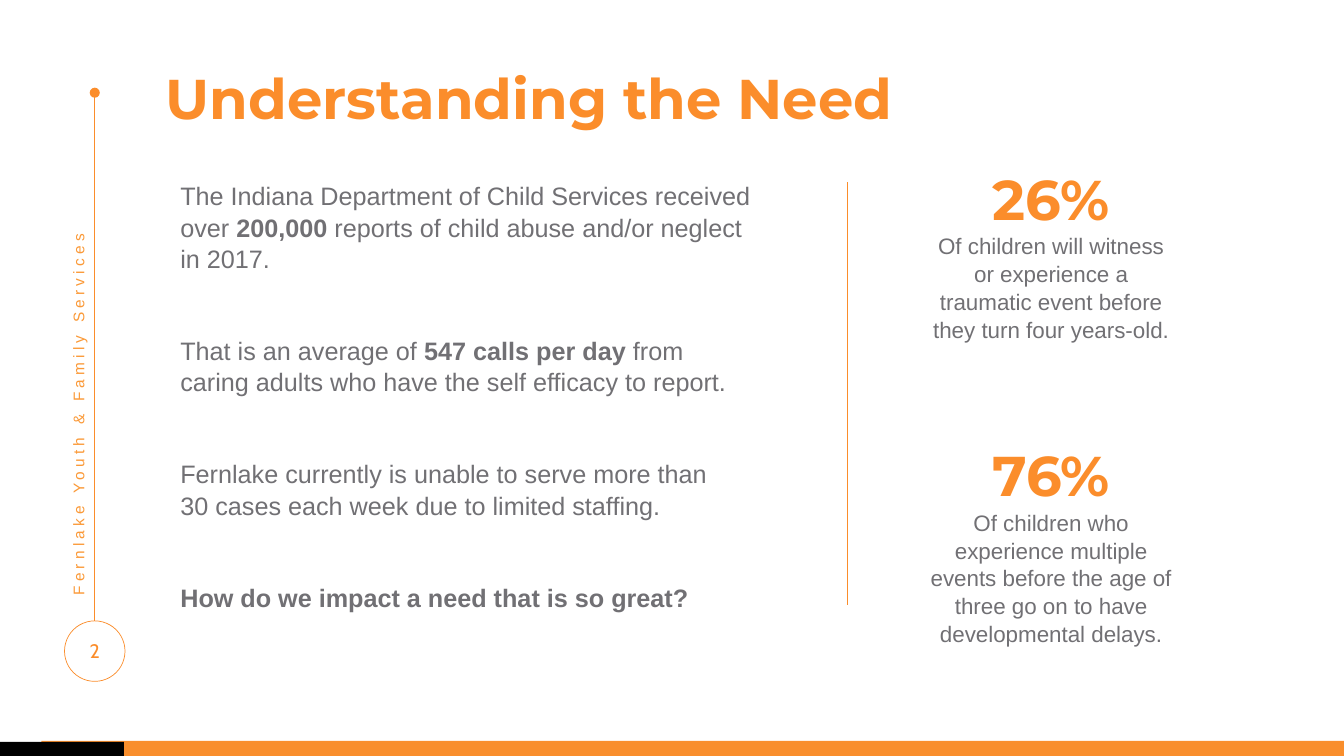
from pptx import Presentation
from pptx.dml.color import RGBColor
from pptx.enum.shapes import MSO_CONNECTOR, MSO_SHAPE
from pptx.enum.text import MSO_ANCHOR, PP_ALIGN
from pptx.oxml.ns import qn
from pptx.util import Inches, Pt

ORANGE = RGBColor(0xFB, 0x8D, 0x2B)
SIDE_ORANGE = RGBColor(0xFB, 0x99, 0x37)
BAR_ORANGE = RGBColor(0xF9, 0x8E, 0x2C)
GRAY = RGBColor(0x71, 0x70, 0x74)
BLACK = RGBColor(0, 0, 0)

TITLE = "Understanding the Need"
SIDE_LABEL = "Fernlake Youth & Family Services"
PAGE = "2"
BODY = [
    (0, [("The Indiana Department of Child Services received over ", False),
         ("200,000", True),
         (" reports of child abuse and/or neglect in 2017.", False)]),
    (43.2, [("That is an average of ", False), ("547 calls per day ", True),
            ("from caring adults who have the self efficacy to report.", False)]),
    (43.2, [("Fernlake currently is unable to serve more than", False)]),
    (0, [("30 cases each week due to limited staffing.", False)]),
    (43.2, [("How do we impact a need that is so great?", True)]),
]
STATS = [
    (1.58, 1.85, "26%", "Of children will witness or experience a traumatic event "
     "before they turn four years-old."),
    (4.32, 2.12, "76%", "Of children who experience multiple events before the age of "
     "three go on to have developmental delays."),
]

HEADING = dict(name="Montserrat", size=Pt(40), bold=True, color=ORANGE)
BODY_FONT = dict(name="Arial", size=Pt(18), color=GRAY)
STAT_FONT = dict(name="Arial", size=Pt(16), bold=False, color=GRAY)
PAGE_FONT = dict(name="Cabin", size=Pt(14), color=ORANGE)
SIDE_FONT = dict(name="Arial", size=Pt(11), color=SIDE_ORANGE)
LINE_SPACING = 1.04


def add_run(p, text, fmt):
    """Add a run and apply the font values in fmt."""
    r = p.add_run()
    r.text = text
    for key, value in fmt.items():
        if key == "color":
            r.font.color.rgb = value
        else:
            setattr(r.font, key, value)
    return r


def add_box(slide, *at):
    """Add a wrapping, top-anchored text box."""
    sp = slide.shapes.add_textbox(*map(Inches, at))
    sp.text_frame.word_wrap = True
    sp.text_frame.vertical_anchor = MSO_ANCHOR.TOP
    return sp


def add_figure(slide, kind, at, fill=None, line=None):
    """Add a preset shape with an optional fill and outline."""
    sp = slide.shapes.add_shape(kind, *map(Inches, at))
    sp.shadow.inherit = False
    if fill is None:
        sp.fill.background()
    else:
        sp.fill.solid()
        sp.fill.fore_color.rgb = fill
    if line is None:
        sp.line.fill.background()
    else:
        sp.line.color.rgb = line
        sp.line.width = Pt(0.5)
    return sp


def add_rule(slide, *ends):
    """Add a thin orange line."""
    sp = slide.shapes.add_connector(MSO_CONNECTOR.STRAIGHT, *map(Inches, ends))
    sp.line.color.rgb = ORANGE
    sp.line.width = Pt(0.5)
    sp._element.spPr.append(sp._element.makeelement(qn("a:effectLst"), {}))
    return sp


def main():
    """Build the slide and save it."""
    prs = Presentation()
    prs.slide_width, prs.slide_height = Inches(13.33), Inches(7.5)
    slide = prs.slides.add_slide(prs.slide_layouts[5])

    title = slide.shapes.title
    title.left, title.top, title.width, title.height = map(Inches, (1.54, 0.58, 10.02, 0.77))
    tf = title.text_frame
    tf.word_wrap = True
    tf.vertical_anchor = MSO_ANCHOR.TOP
    p = tf.paragraphs[0]
    p.alignment = PP_ALIGN.LEFT
    add_run(p, TITLE, HEADING)

    ring = add_figure(slide, MSO_SHAPE.OVAL, (0.64, 6.16, 0.6, 0.6), line=ORANGE)
    add_rule(slide, 0.94, 6.16, 0.94, 0.91).begin_connect(ring, 0)
    add_figure(slide, MSO_SHAPE.OVAL, (0.89, 0.87, 0.1, 0.1), fill=ORANGE)
    add_rule(slide, 8.4, 1.81, 8.4, 6)

    p = add_box(slide, 0.79, 6.29, 0.3, 0.34).text_frame.paragraphs[0]
    p.alignment = PP_ALIGN.CENTER
    add_run(p, PAGE, PAGE_FONT)

    side = add_box(slide, -1.17, 3.91, 3.9, 0.29)
    side.rotation = 270
    r = add_run(side.text_frame.paragraphs[0], SIDE_LABEL, SIDE_FONT)
    r.font._element.set("spc", "300")

    add_figure(slide, MSO_SHAPE.RECTANGLE, (0.41, 7.35, 12.92, 0.15), fill=BAR_ORANGE)
    add_figure(slide, MSO_SHAPE.RECTANGLE, (0, 7.36, 1.23, 0.15), fill=BLACK)

    tf = add_box(slide, 1.69, 1.73, 5.88, 4.95).text_frame
    for i, (gap, runs) in enumerate(BODY):
        p = tf.add_paragraph() if i else tf.paragraphs[0]
        p.line_spacing = LINE_SPACING
        p.space_before = Pt(gap)
        for text, bold in runs:
            add_run(p, text, dict(BODY_FONT, bold=bold))

    for top, height, figure, caption in STATS:
        tf = add_box(slide, 9.08, top, 2.69, height).text_frame
        p = tf.paragraphs[0]
        p.alignment = PP_ALIGN.CENTER
        add_run(p, figure, HEADING)
        p = tf.add_paragraph()
        p.alignment = PP_ALIGN.CENTER
        p.line_spacing = LINE_SPACING
        add_run(p, caption, STAT_FONT)

    prs.save("out.pptx")


if __name__ == "__main__":
    main()
